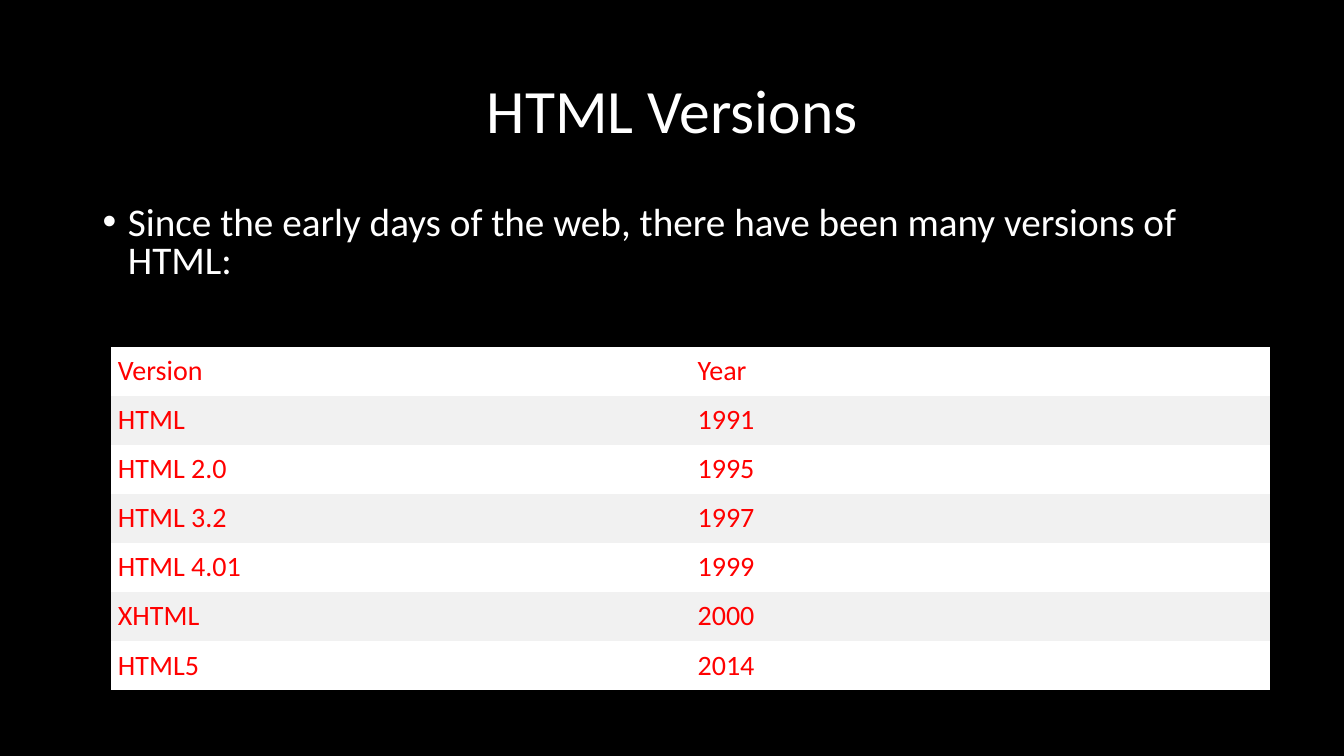
from dataclasses import dataclass

from lxml.etree import SubElement
from pptx import Presentation
from pptx.dml.color import RGBColor
from pptx.enum.text import MSO_ANCHOR, PP_ALIGN
from pptx.oxml.ns import qn
from pptx.slide import Slide
from pptx.text.text import _Paragraph
from pptx.util import Inches, Pt


@dataclass(frozen=True)
class Theme:
    font: str = "Calibri"
    back: RGBColor = RGBColor(0, 0, 0)
    light: RGBColor = RGBColor(255, 255, 255)
    red: RGBColor = RGBColor(255, 0, 0)
    bands: tuple[RGBColor, RGBColor] = (
        RGBColor(255, 255, 255), RGBColor(0xF1, 0xF1, 0xF1))
    title: int = 44
    body: int = 28
    cell: int = 20


@dataclass(frozen=True)
class Block:
    text: str
    top: float
    height: float
    size: int
    spacing: float
    anchor: MSO_ANCHOR
    align: PP_ALIGN
    bullet: bool = False


@dataclass(frozen=True)
class Version:
    name: str
    year: str


THEME = Theme()
LEFT, WIDTH = 0.92, 11.5
BLOCKS = [
    Block("HTML Versions", 0.4, 1.45, THEME.title, 0.9,
          MSO_ANCHOR.MIDDLE, PP_ALIGN.CENTER),
    Block("Since the early days of the web, there have been many versions of HTML:",
          2, 0.86, THEME.body, 0.8, MSO_ANCHOR.TOP, PP_ALIGN.LEFT, bullet=True),
]
VERSIONS = [
    Version("Version", "Year"),
    Version("HTML", "1991"),
    Version("HTML 2.0", "1995"),
    Version("HTML 3.2", "1997"),
    Version("HTML 4.01", "1999"),
    Version("XHTML", "2000"),
    Version("HTML5", "2014"),
]


def add_run(para: _Paragraph, text: str, size: int, color: RGBColor) -> None:
    run = para.add_run()
    run.text = text
    run.font.name = THEME.font
    run.font.size = Pt(size)
    run.font.bold = False
    run.font.color.rgb = color


def add_bullet(para: _Paragraph) -> None:
    props = para._p.get_or_add_pPr()
    props.set("marL", str(Inches(0.25)))
    props.set("indent", str(Inches(-0.25)))
    SubElement(props, qn("a:buFont"), typeface="Arial")
    SubElement(props, qn("a:buChar"), char="•")


def add_block(slide: Slide, block: Block) -> None:
    box = slide.shapes.add_textbox(
        Inches(LEFT), Inches(block.top), Inches(WIDTH), Inches(block.height))
    frame = box.text_frame
    frame.word_wrap = True
    frame.vertical_anchor = block.anchor
    para = frame.paragraphs[0]
    if block.bullet:
        add_bullet(para)
    para.alignment = block.align
    para.line_spacing = block.spacing
    add_run(para, block.text, block.size, THEME.light)


def add_versions(slide: Slide, versions: list[Version]) -> None:
    table = slide.shapes.add_table(
        len(versions), 2, Inches(1.1), Inches(3.44),
        Inches(WIDTH), Inches(3.41)).table
    for row, version in enumerate(versions):
        for col, text in enumerate((version.name, version.year)):
            cell = table.cell(row, col)
            cell.fill.solid()
            cell.fill.fore_color.rgb = THEME.bands[row % 2]
            cell.margin_left = cell.margin_right = Inches(0.07)
            cell.margin_top = cell.margin_bottom = Inches(0.07)
            add_run(cell.text_frame.paragraphs[0], text, THEME.cell, THEME.red)
    # Plain cells, without the borders of the default style
    for cell in table.iter_cells():
        props = cell._tc.get_or_add_tcPr()
        for index, side in enumerate(("lnL", "lnR", "lnT", "lnB")):
            line = SubElement(props, qn(f"a:{side}"), w="0")
            SubElement(line, qn("a:noFill"))
            props.insert(index, line)


def main() -> None:
    deck = Presentation()
    deck.slide_width, deck.slide_height = Inches(13.33), Inches(7.5)
    slide = deck.slides.add_slide(deck.slide_layouts[6])

    # Background
    fill = slide.background.fill
    fill.solid()
    fill.fore_color.rgb = THEME.back

    # Title and lead sentence
    for block in BLOCKS:
        add_block(slide, block)

    # Table of versions
    add_versions(slide, VERSIONS)

    deck.save("out.pptx")


if __name__ == "__main__":
    main()
